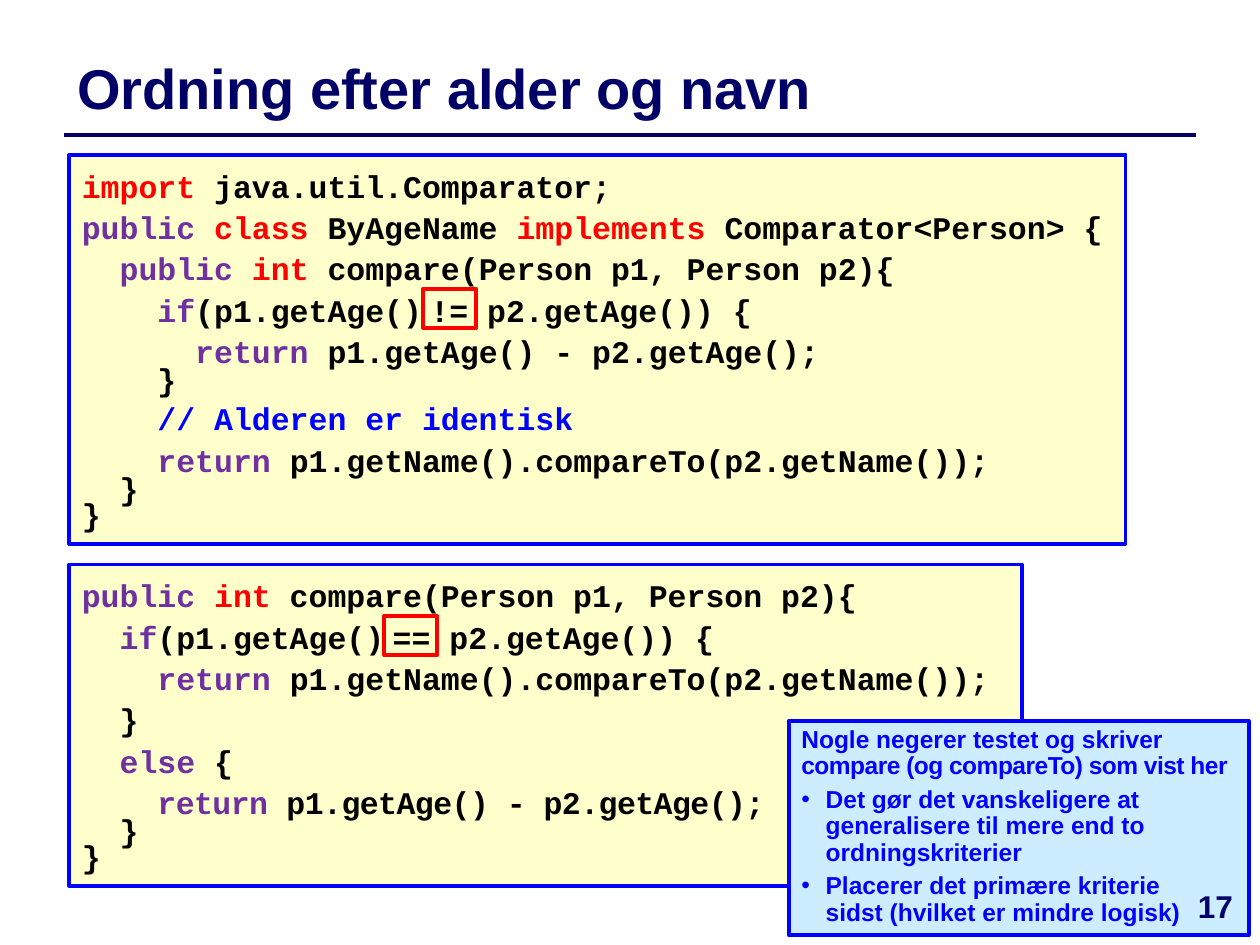
from lxml.etree import SubElement
from pptx import Presentation
from pptx.dml.color import RGBColor
from pptx.enum.shapes import MSO_CONNECTOR, MSO_SHAPE
from pptx.enum.text import MSO_ANCHOR, MSO_AUTO_SIZE, PP_ALIGN
from pptx.oxml.ns import qn
from pptx.util import Cm, Pt

COLORS = {
    "navy": "000066", "blue": "0000FF", "red": "FF0000", "purple": "7030A0",
    "black": "000000", "cream": "FFFFCC", "sky": "CCECFF",
}


def color(name):
    return RGBColor.from_string(COLORS[name])


def write(paragraph, text, ink="black", size=18, face="Arial", spacing=0):
    """Append bold text; a newline becomes a line break."""
    for number, part in enumerate(text.split("\n")):
        if number:
            paragraph.add_line_break()
        run = paragraph.add_run()
        run.text = part
        run.font.name = face
        run.font.size = Pt(size)
        run.font.bold = True
        run.font.color.rgb = color(ink)
        if spacing:
            run.font._element.set("spc", str(spacing))


deck = Presentation()
deck.slide_width, deck.slide_height = Cm(25.4), Cm(19.05)
slide = deck.slides.add_slide(deck.slide_layouts[1])
shapes = slide.shapes

# Heading
heading = shapes.title
heading.left, heading.top, heading.width, heading.height = Cm(1.3), Cm(0.91), Cm(24.1), Cm(1.7)
heading.text_frame.vertical_anchor = MSO_ANCHOR.MIDDLE
heading.text_frame.auto_size = MSO_AUTO_SIZE.NONE
heading.text_frame.paragraphs[0].alignment = PP_ALIGN.LEFT
write(heading.text_frame.paragraphs[0], "Ordning efter alder og navn", ink="navy", size=32)

rule = shapes.add_connector(MSO_CONNECTOR.STRAIGHT, Cm(1.3), Cm(2.72), Cm(24.1), Cm(2.72))
rule.line.color.rgb = color("navy")
rule.line.width = Pt(2)
SubElement(rule._element.spPr, qn("a:effectLst"))

# Code: each line is a list of (text, colour, optional format)
SMALL_GAP = (" ", "black", {"size": 8})
class_code = [
    [("import ", "red"), ("java.util.Comparator;", "black")],
    [("public ", "purple"), ("class ", "red"), ("ByAgeName ", "black"),
     ("implements ", "red"), ("Comparator<Person> {", "black")],
    [("  public ", "purple"), ("int ", "red"), ("compare(Person p1, Person p2){", "black")],
    [("    if", "purple"), ("(p1.getAge()", "black"), SMALL_GAP, ("!= p2.getAge()) {", "black")],
    [("      return ", "purple"), ("p1.getAge() - p2.getAge();", "black")],
    [("    }", "black")],
    [("    // Alderen er identisk", "blue")],
    [("    return ", "purple"), ("p1.getName().compareTo(p2.getName());", "black")],
    [("  }", "black")],
    [("}", "black")],
]
method_code = [
    [("public ", "purple"), ("int ", "red"), ("compare(Person p1, Person p2){", "black")],
    [("  if", "purple"), ("(p1.getAge()", "black"), SMALL_GAP, ("== p2.getAge()) {", "black")],
    [("    return ", "purple"), ("p1.getName().compareTo(p2.getName());", "black")],
    [("  }", "black")],
    [("  else ", "purple"), ("{", "black")],
    [("    ", "purple"), ("return ", "purple", {"spacing": -30}),
     ("p1.getAge() - p2.getAge();", "black", {"spacing": -30})],
    [("  }", "black")],
    [("}", "black")],
]
listings = [
    (class_code, 3.12, 21.29, 7.85, {5, 8, 9}),
    (method_code, 11.38, 19.2, 6.48, {6, 7}),
]
for code, top, width, height, tight_lines in listings:
    listing = shapes.add_shape(MSO_SHAPE.RECTANGLE, Cm(1.4), Cm(top), Cm(width), Cm(height))
    listing.shadow.inherit = False
    listing.fill.solid()
    listing.fill.fore_color.rgb = color("cream")
    listing.line.color.rgb = color("blue")
    listing.line.width = Pt(2.25)
    frame = listing.text_frame
    frame.word_wrap = True
    frame.vertical_anchor = MSO_ANCHOR.TOP
    frame.margin_top = Cm(0.24)
    for number, parts in enumerate(code):
        line = frame.add_paragraph() if number else frame.paragraphs[0]
        line.alignment = PP_ALIGN.LEFT
        line.line_spacing = 0.6 if number in tight_lines else 1.0
        line.space_before = Pt(2 if number else 0)
        for text, ink, *extra in parts:
            write(line, text, ink=ink, face="Courier New", **(extra[0] if extra else {}))

# Note with bullets, in front of the code
note = slide.placeholders[1]
shapes._spTree.append(note._element)
note.left, note.top, note.width, note.height = Cm(15.9), Cm(14.53), Cm(9.27), Cm(4.32)
note.fill.solid()
note.fill.fore_color.rgb = color("sky")
note.line.color.rgb = color("blue")
note.line.width = Pt(2.25)
note.text_frame.auto_size = MSO_AUTO_SIZE.NONE
note.text_frame.word_wrap = True
intro = note.text_frame.paragraphs[0]
remarks = [
    "Det gør det vanskeligere at generalisere til mere end to ordningskriterier",
    "Placerer det primære kriterie\nsidst (hvilket er mindre logisk)",
]
intro_format = intro._p.get_or_add_pPr()
intro_format.set("marL", "0")
intro_format.set("indent", "0")
SubElement(intro_format, qn("a:buNone"))
intro.line_spacing = 0.9
intro.space_before = Pt(0)
write(intro, "Nogle negerer testet og skriver ", ink="blue", size=14)
write(intro, "compare (og compareTo) som vist her", ink="blue", size=14, spacing=-30)
for remark in remarks:
    bullet = note.text_frame.add_paragraph()
    bullet_format = bullet._p.get_or_add_pPr()
    bullet_format.set("marL", str(Cm(0.49)))
    bullet_format.set("indent", str(-Cm(0.49)))
    SubElement(bullet_format, qn("a:buChar"), char="•")
    bullet.line_spacing = 0.9
    bullet.space_before = Pt(4)
    write(bullet, remark, ink="blue", size=14)

# Page number
page = shapes.add_textbox(Cm(23.6), Cm(17.75), Cm(1.8), Cm(1.27)).text_frame
page.word_wrap = True
page.paragraphs[0].alignment = PP_ALIGN.CENTER
write(page.paragraphs[0], "17", ink="navy")

# Frames around the two comparison operators
for left, top in [(8.53, 5.82), (7.75, 12.42)]:
    operator = shapes.add_shape(MSO_SHAPE.RECTANGLE, Cm(left), Cm(top), Cm(1.07), Cm(0.79))
    operator.shadow.inherit = False
    operator.fill.background()
    operator.line.color.rgb = color("red")
    operator.line.width = Pt(2.25)

deck.save("out.pptx")
